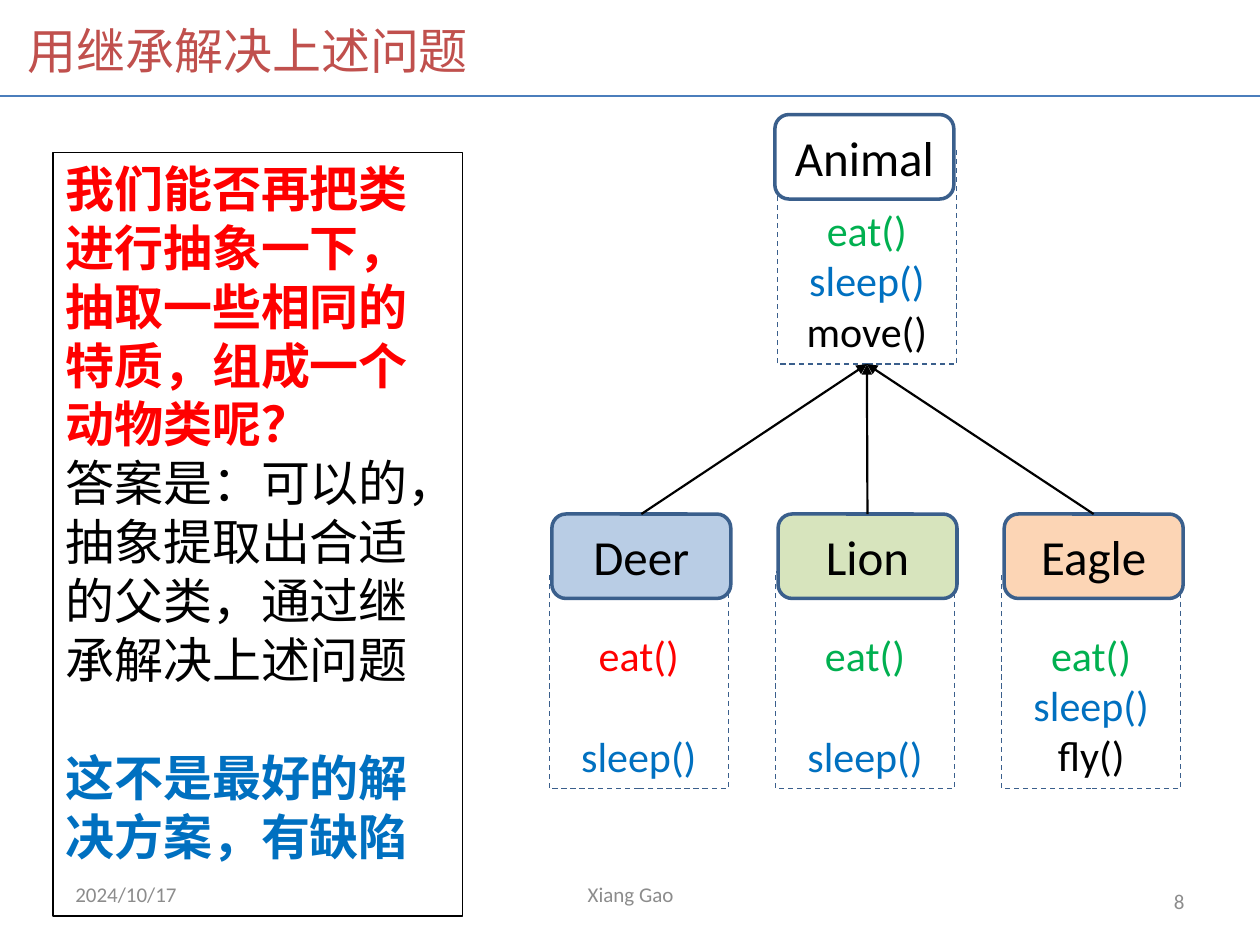
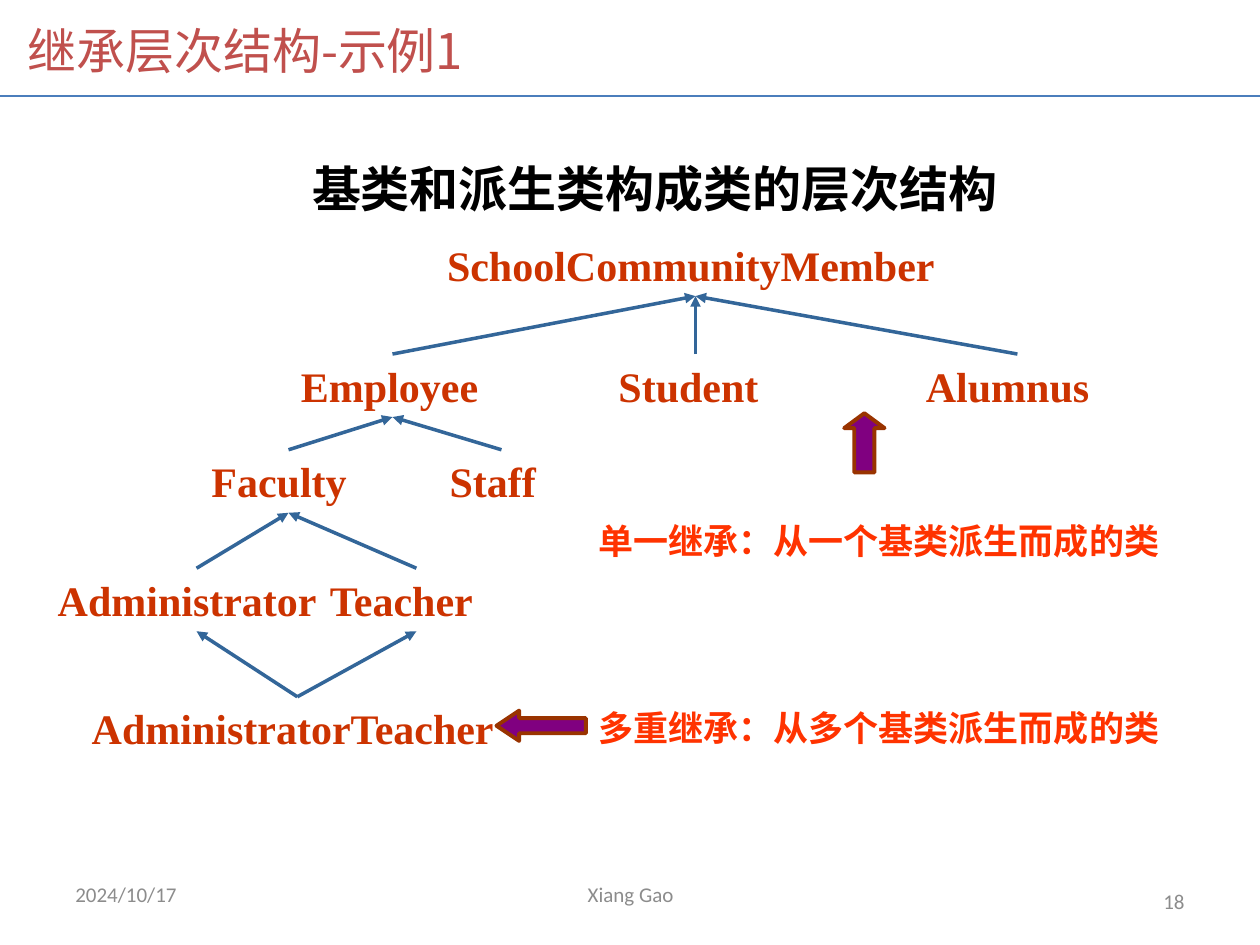
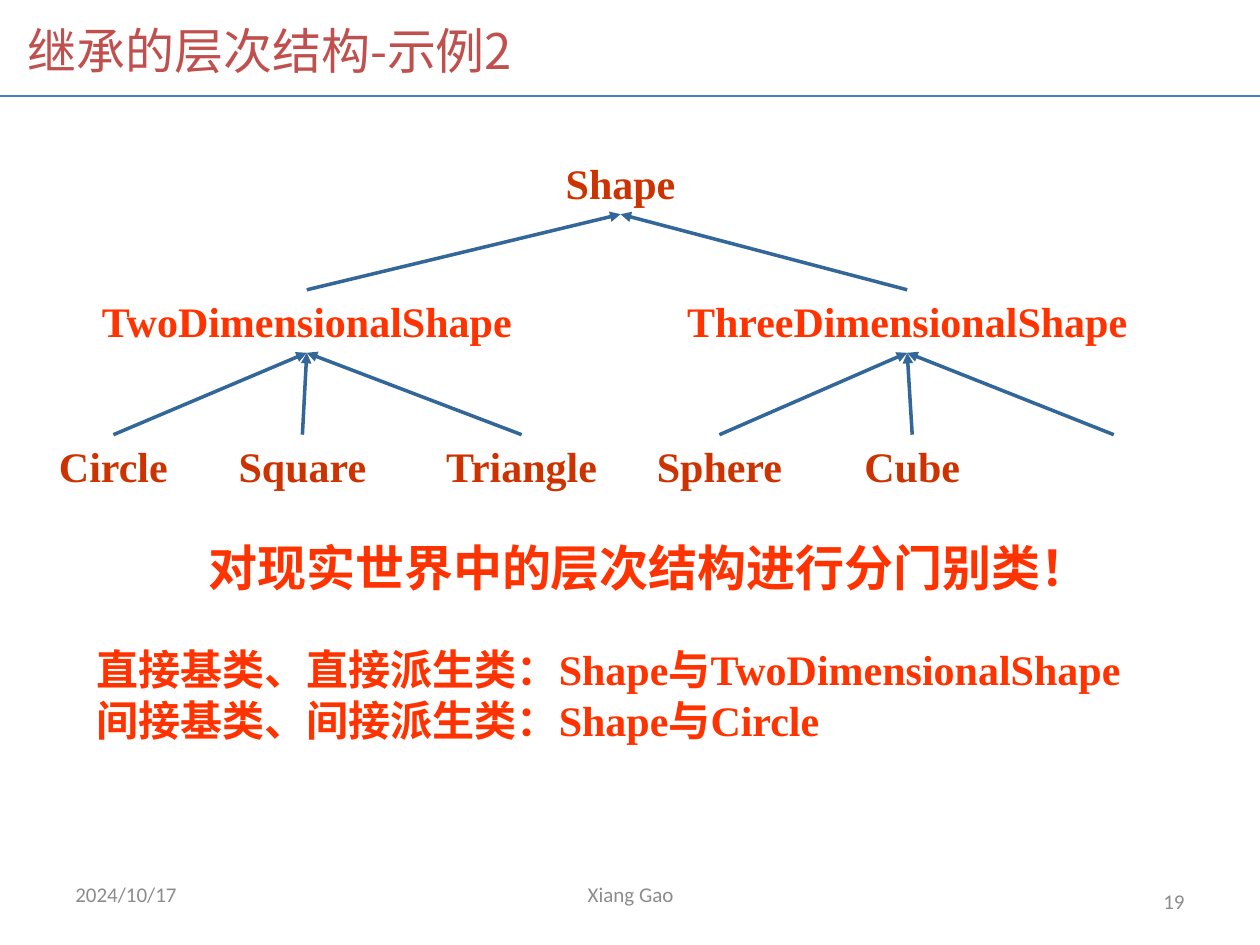
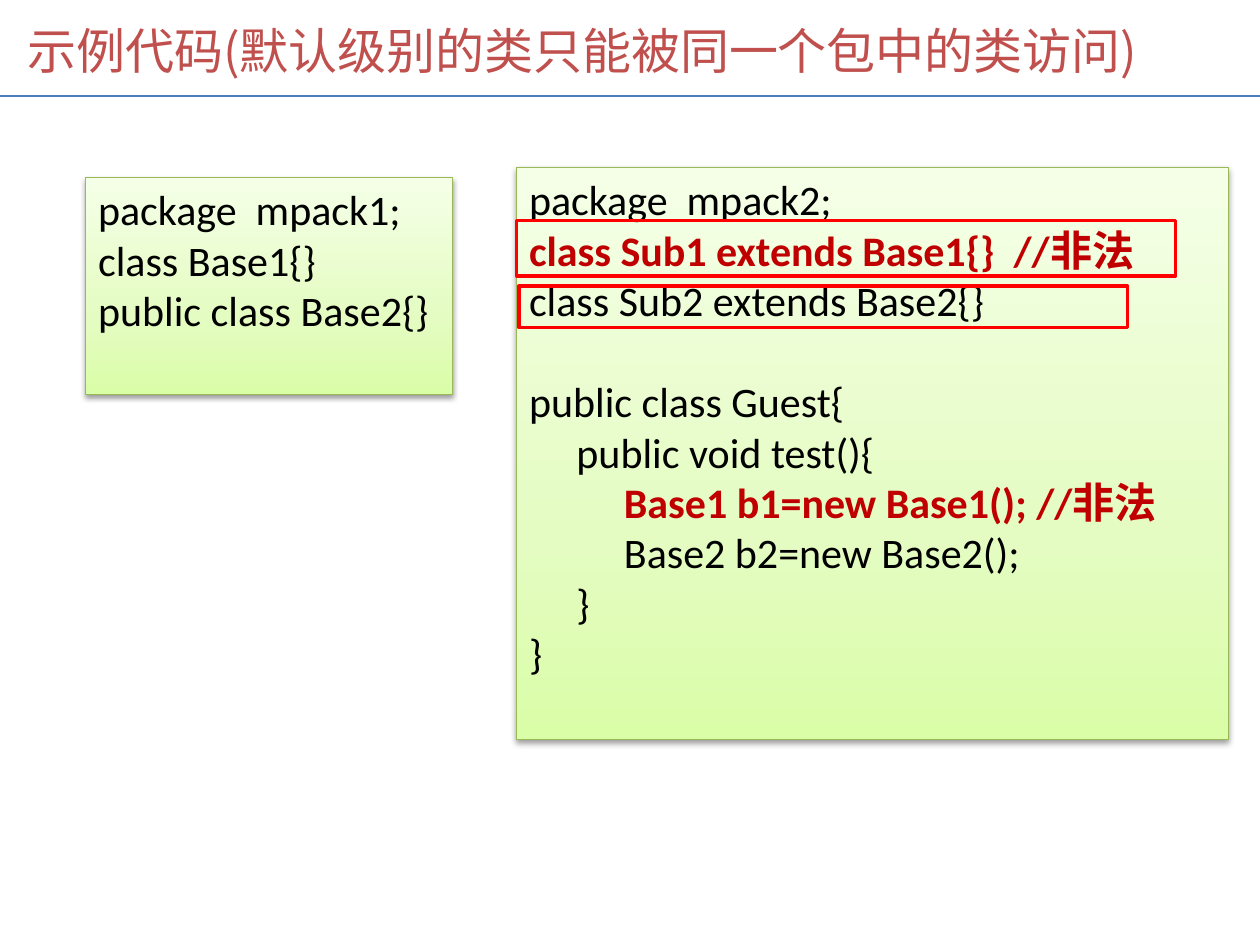
from copy import deepcopy
from dataclasses import dataclass
from typing import Optional

from lxml.etree import SubElement
from pptx import Presentation
from pptx.dml.color import RGBColor as Color
from pptx.enum.dml import MSO_LINE as Dash
from pptx.enum.shapes import MSO_CONNECTOR as Connector, MSO_SHAPE as Preset
from pptx.enum.text import MSO_ANCHOR as Anchor, PP_ALIGN as Align
from pptx.oxml.ns import qn
from pptx.util import Inches, Pt

# The slide is a grid of 100 columns by 75 rows
SLIDE_WIDTH, SLIDE_HEIGHT = Inches(10), Inches(7.5)
COLUMNS, ROWS = 100, 75


@dataclass(frozen=True)
class Theme:
    sans: str = "Calibri"
    serif: str = "Times New Roman"
    chinese: str = "Noto Sans CJK SC"
    title: str = "C0504D"
    rule: str = "4B7EBC"
    footer: str = "8C8C8C"
    black: str = "000000"
    white: str = "FFFFFF"
    red: str = "FF0000"
    dark_red: str = "C00000"
    green: str = "00B050"
    blue: str = "0070C0"
    outline: str = "3A5F8C"
    tree: str = "CC3300"
    accent: str = "FF3300"
    arrow: str = "336699"
    pointer_fill: str = "800080"
    pointer_line: str = "993300"
    code_line: str = "98B955"
    code_stops: tuple = ((0, "DAFDA7"), (0.35, "E4FCC2"), (1, "F5FFE7"))
    large: int = 28
    body: int = 24
    note: int = 20
    small: int = 12
    large_gap: int = 34  # one line of large text, in points
    body_gap: int = 29  # one line of body text, in points


THEME = Theme()


@dataclass(frozen=True)
class Area:
    left: float
    top: float
    width: float
    height: float

    @property
    def top_center(self) -> tuple:
        return self.left + self.width / 2, self.top

    @property
    def bottom_center(self) -> tuple:
        return self.left + self.width / 2, self.top + self.height


@dataclass(frozen=True)
class Line:
    text: str
    color: str = THEME.black
    bold: bool = False
    gap: float = 0


@dataclass(frozen=True)
class Style:
    size: int
    font: str = THEME.sans
    align: Align = Align.LEFT
    anchor: Anchor = Anchor.TOP


@dataclass(frozen=True)
class Border:
    color: str
    width: float
    dash: Optional[Dash] = None


@dataclass(frozen=True)
class ClassCard:
    name: str
    fill: str
    header: Area
    members: Area
    methods: tuple


@dataclass(frozen=True)
class Node:
    name: str
    area: Area
    parents: tuple = ()
    color: str = THEME.tree


def column(count: float) -> int:
    return round(SLIDE_WIDTH * count / COLUMNS)


def row(count: float) -> int:
    return round(SLIDE_HEIGHT * count / ROWS)


def place(area: Area) -> tuple:
    return column(area.left), row(area.top), column(area.width), row(area.height)


# Drawing helpers
def write(shape, lines: tuple, style: Style) -> None:
    frame = shape.text_frame
    frame.word_wrap = True
    frame.vertical_anchor = style.anchor
    frame.text = "\n".join(line.text for line in lines)
    for paragraph, line in zip(frame.paragraphs, lines):
        paragraph.alignment = style.align
        if line.gap:
            paragraph.space_before = Pt(line.gap)
        for run in paragraph.runs:
            run.font.name = style.font
            run.font.size = Pt(style.size)
            run.font.bold = line.bold
            run.font.color.rgb = Color.from_string(line.color)
            east_asian = SubElement(run.font._element, qn("a:ea"))
            east_asian.set("typeface", THEME.chinese)


def draw_text(slide, area: Area, style: Style, *lines: Line) -> None:
    write(slide.shapes.add_textbox(*place(area)), lines, style)


def draw_shape(slide, preset: Preset, area: Area, border: Border, fill: Optional[str] = None):
    shape = slide.shapes.add_shape(preset, *place(area))
    shape.shadow.inherit = False
    if fill:
        shape.fill.solid()
        shape.fill.fore_color.rgb = Color.from_string(fill)
    else:
        shape.fill.background()
    shape.line.color.rgb = Color.from_string(border.color)
    shape.line.width = Pt(border.width)
    if border.dash:
        shape.line.dash_style = border.dash
    return shape


def draw_line(slide, start: tuple, end: tuple, border: Border, arrow: bool = True) -> None:
    connector = slide.shapes.add_connector(
        Connector.STRAIGHT, column(start[0]), row(start[1]), column(end[0]), row(end[1]))
    connector.line.color.rgb = Color.from_string(border.color)
    connector.line.width = Pt(border.width)
    if arrow:
        SubElement(connector.line._get_or_add_ln(), qn("a:tailEnd")).set("type", "triangle")
    SubElement(connector._element.spPr, qn("a:effectLst"))


def draw_pointer(slide, preset: Preset, area: Area, head: float) -> None:
    pointer = draw_shape(slide, preset, area, Border(THEME.pointer_line, 2.25), THEME.pointer_fill)
    pointer.adjustments[1] = head


def draw_class(slide, card: ClassCard) -> None:
    members = draw_shape(slide, Preset.RECTANGLE, card.members,
                         Border(THEME.outline, 0.75, Dash.DASH))
    write(members, card.methods, Style(THEME.body, align=Align.CENTER))
    # Methods start one line below the top edge, clear of the header
    members.text_frame.margin_top = Pt(THEME.body_gap + 3.6)
    header = draw_shape(slide, Preset.ROUNDED_RECTANGLE, card.header,
                        Border(THEME.outline, 2), card.fill)
    write(header, (Line(card.name),), Style(THEME.large, align=Align.CENTER, anchor=Anchor.MIDDLE))


TREE_ARROW = Border(THEME.arrow, 2)


def draw_tree(slide, nodes: tuple, align: Align) -> None:
    areas = {node.name: node.area for node in nodes}
    for node in nodes:
        draw_text(slide, node.area, Style(THEME.body, THEME.serif, align),
                  Line(node.name, node.color, True))
        for parent in node.parents:
            draw_line(slide, node.area.top_center, areas[parent].bottom_center, TREE_ARROW)


def draw_code(slide, area: Area, *lines: Line) -> None:
    panel = draw_shape(slide, Preset.RECTANGLE, area, Border(THEME.code_line, 0.75))
    panel.fill.gradient()
    panel.fill.gradient_angle = 90
    properties = panel._element.spPr
    stop_list = properties.find(qn("a:gradFill")).find(qn("a:gsLst"))
    stop_list.append(deepcopy(stop_list[0]))
    for stop, (position, color) in zip(panel.fill.gradient_stops, THEME.code_stops):
        stop.position = position
        stop.color.rgb = Color.from_string(color)
    shadow = SubElement(properties.find(qn("a:effectLst")), qn("a:outerShdw"),
                        blurRad="40000", dist="20000", dir="5400000", rotWithShape="0")
    shade = SubElement(shadow, qn("a:srgbClr"), val=THEME.black)
    SubElement(shade, qn("a:alpha"), val="38000")
    write(panel, lines, Style(THEME.body))


def add_slide(presentation, title: str, number: Optional[int] = None):
    slide = presentation.slides.add_slide(presentation.slide_layouts[6])
    draw_line(slide, (0, 7.6), (COLUMNS, 7.6), Border(THEME.rule, 1), arrow=False)
    draw_text(slide, Area(1.2, 0.5, 94.5, 6.9),
              Style(THEME.large, THEME.chinese, anchor=Anchor.MIDDLE), Line(title, THEME.title))
    if number:
        footers = (
            ("2024/10/17", 5, 23.3, Align.LEFT, Anchor.TOP),
            ("Xiang Gao", 34.2, 31.7, Align.CENTER, Anchor.TOP),
            (str(number), 71.7, 23.3, Align.RIGHT, Anchor.MIDDLE),
        )
        for text, left, width, align, anchor in footers:
            draw_text(slide, Area(left, 69.5, width, 4),
                      Style(THEME.small, align=align, anchor=anchor), Line(text, THEME.footer))
    return slide


# Slides
def add_animal_slide(presentation) -> None:
    slide = add_slide(presentation, "用继承解决上述问题", 8)
    question = draw_shape(slide, Preset.RECTANGLE, Area(4.2, 12.1, 32.5, 60.6),
                          Border(THEME.black, 0.75))
    write(question, (
        Line("我们能否再把类进行抽象一下，抽取一些相同的特质，组成一个动物类呢？", THEME.red, True),
        Line("答案是：可以的，抽象提取出合适的父类，通过继承解决上述问题"),
        Line("这不是最好的解决方案，有缺陷", THEME.blue, True, THEME.large_gap),
    ), Style(THEME.large, THEME.chinese))

    eat, sleep = Line("eat()", THEME.green), Line("sleep()", THEME.blue)
    spaced_sleep = Line("sleep()", THEME.blue, gap=THEME.body_gap)
    children = (
        ("Deer", "B9CDE5", (Line("eat()", THEME.red), spaced_sleep)),
        ("Lion", "D7E4BD", (eat, spaced_sleep)),
        ("Eagle", "FCD5B5", (eat, sleep, Line("fly()"))),
    )
    cards = []
    for index, (name, fill, methods) in enumerate(children):
        left = 43.8 + 17.95 * index
        cards.append(ClassCard(name, fill, Area(left, 40.8, 14.2, 6.7),
                               Area(left - 0.2, 45.4, 14.2, 17.2), methods))
    animal = ClassCard("Animal", THEME.white, Area(61.5, 9.1, 14.2, 6.7),
                       Area(61.7, 11.7, 14.2, 17.2), (eat, sleep, Line("move()")))
    for card in (*cards, animal):
        draw_class(slide, card)
    for card in cards:
        draw_line(slide, card.header.top_center, animal.members.bottom_center,
                  Border(THEME.black, 1.25))


def add_school_slide(presentation) -> None:
    slide = add_slide(presentation, "继承层次结构-示例1", 18)
    draw_tree(slide, (
        Node("SchoolCommunityMember", Area(34.5, 18.5, 41.4, 5)),
        Node("Employee", Area(22.9, 28.1, 16.5, 5), ("SchoolCommunityMember",)),
        Node("Student", Area(48.1, 28.1, 14.2, 5), ("SchoolCommunityMember",)),
        Node("Alumnus", Area(72.5, 28.1, 16.5, 5), ("SchoolCommunityMember",)),
        Node("Faculty", Area(15.8, 35.7, 14.2, 5), ("Employee",)),
        Node("Staff", Area(34.7, 35.7, 10.2, 5), ("Employee",)),
        Node("Administrator", Area(3.6, 45.1, 24, 5), ("Faculty",)),
        Node("Teacher", Area(25.2, 45.1, 15.7, 5), ("Faculty",)),
        Node("AdministratorTeacher", Area(6.3, 55.3, 34.6, 5), ("Administrator", "Teacher")),
    ), Align.LEFT)

    # Kinds of inheritance
    notes = ((55.6, "多重继承：从多个基类派生而成的类"), (40.7, "单一继承：从一个基类派生而成的类"))
    for top, text in notes:
        draw_text(slide, Area(46.5, top, 48, 4.3), Style(THEME.note, THEME.serif),
                  Line(text, THEME.accent, True))
    draw_pointer(slide, Preset.LEFT_ARROW, Area(39.4, 56.4, 7.1, 2.4), 0.75)
    draw_pointer(slide, Preset.UP_ARROW, Area(67, 32.8, 3.2, 4.7), 0.37)
    draw_text(slide, Area(5.9, 12.1, 92.1, 5.7), Style(THEME.large, THEME.serif, Align.CENTER),
              Line("基类和派生类构成类的层次结构", bold=True))


def add_shape_slide(presentation) -> None:
    slide = add_slide(presentation, "继承的层次结构-示例2", 19)
    flat, solid = "TwoDimensionalShape", "ThreeDimensionalShape"
    solid_area = Area(53.1, 23, 37.8, 5)
    draw_tree(slide, (
        Node("Shape", Area(33.5, 12, 31.5, 5)),
        Node(flat, Area(3.5, 23, 41.7, 5), ("Shape",), THEME.accent),
        Node(solid, solid_area, ("Shape",), THEME.accent),
        Node("Circle", Area(2.7, 34.5, 12.6, 5), (flat,)),
        Node("Square", Area(16.9, 34.5, 14.2, 5), (flat,)),
        Node("Triangle", Area(33.5, 34.5, 15.8, 5), (flat,)),
        Node("Sphere", Area(50, 34.5, 14.2, 5), (solid,)),
        Node("Cube", Area(66.5, 34.5, 11.8, 5), (solid,)),
    ), Align.CENTER)
    # Branch left open for further solids
    draw_line(slide, (88.4, 34.5), solid_area.bottom_center, TREE_ARROW)

    draw_text(slide, Area(6.7, 50.6, 87.4, 9.1), Style(THEME.body, THEME.serif),
              Line("直接基类、直接派生类：Shape与TwoDimensionalShape", THEME.accent, True),
              Line("间接基类、间接派生类：Shape与Circle", THEME.accent, True))
    draw_text(slide, Area(2.7, 42.2, 97.6, 5.7), Style(THEME.large, THEME.serif, Align.CENTER),
              Line("对现实世界中的层次结构进行分门别类！", THEME.accent, True))


def add_code_slide(presentation) -> None:
    slide = add_slide(presentation, "示例代码(默认级别的类只能被同一个包中的类访问)")
    draw_code(slide, Area(6.8, 14.1, 29.1, 17.2),
              Line("package  mpack1;"),
              Line("class Base1{}"),
              Line("public class Base2{}"))
    draw_code(slide, Area(41, 13.3, 56.5, 45.4),
              Line("package  mpack2;"),
              Line("class Sub1 extends Base1{}  //非法", THEME.dark_red, True),
              Line("class Sub2 extends Base2{}"),
              Line("public class Guest{", gap=THEME.body_gap),
              Line("     public void test(){"),
              Line("          Base1 b1=new Base1(); //非法", THEME.dark_red, True),
              Line("          Base2 b2=new Base2();"),
              Line("     }"),
              Line("}"))
    for highlight in (Area(41, 17.5, 52.3, 4.4), Area(41.2, 22.7, 48.3, 3.3)):
        draw_shape(slide, Preset.RECTANGLE, highlight, Border(THEME.red, 2))


def main() -> None:
    presentation = Presentation()
    presentation.slide_width, presentation.slide_height = SLIDE_WIDTH, SLIDE_HEIGHT
    add_animal_slide(presentation)
    add_school_slide(presentation)
    add_shape_slide(presentation)
    add_code_slide(presentation)
    presentation.save("out.pptx")


if __name__ == "__main__":
    main()
